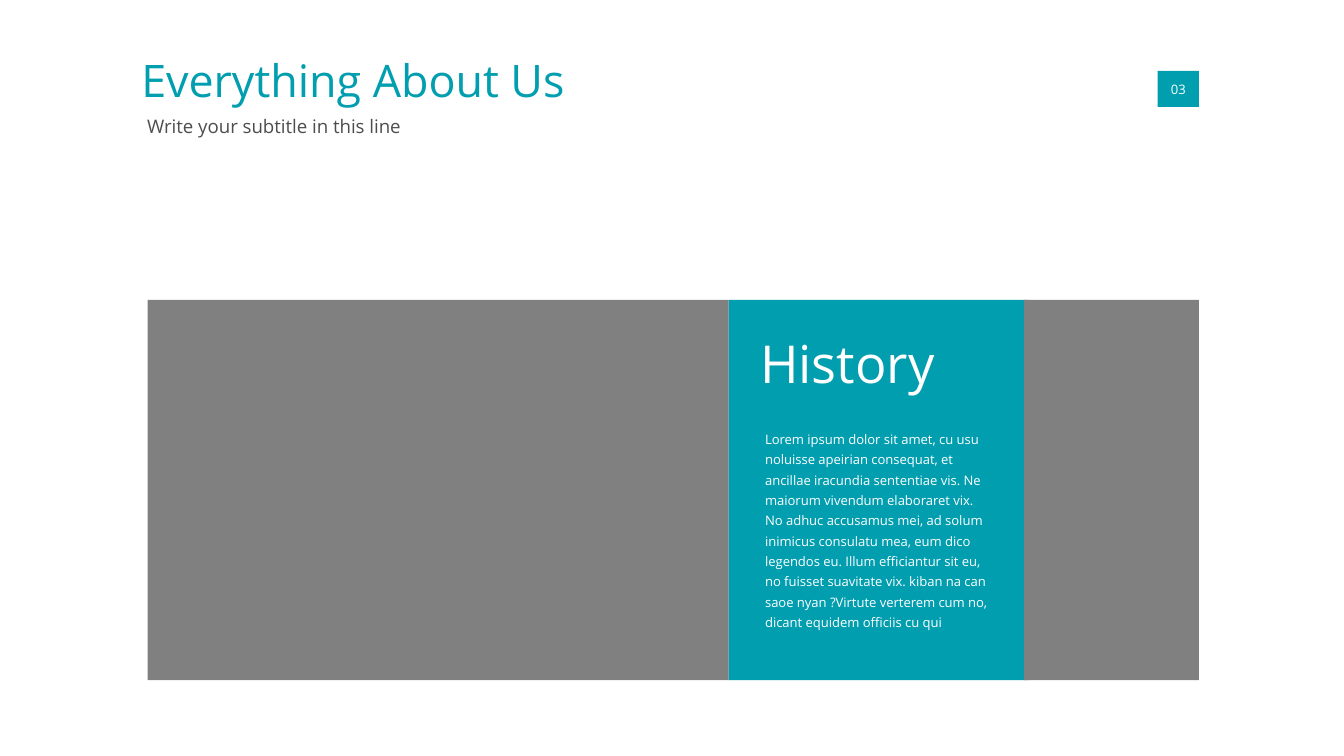
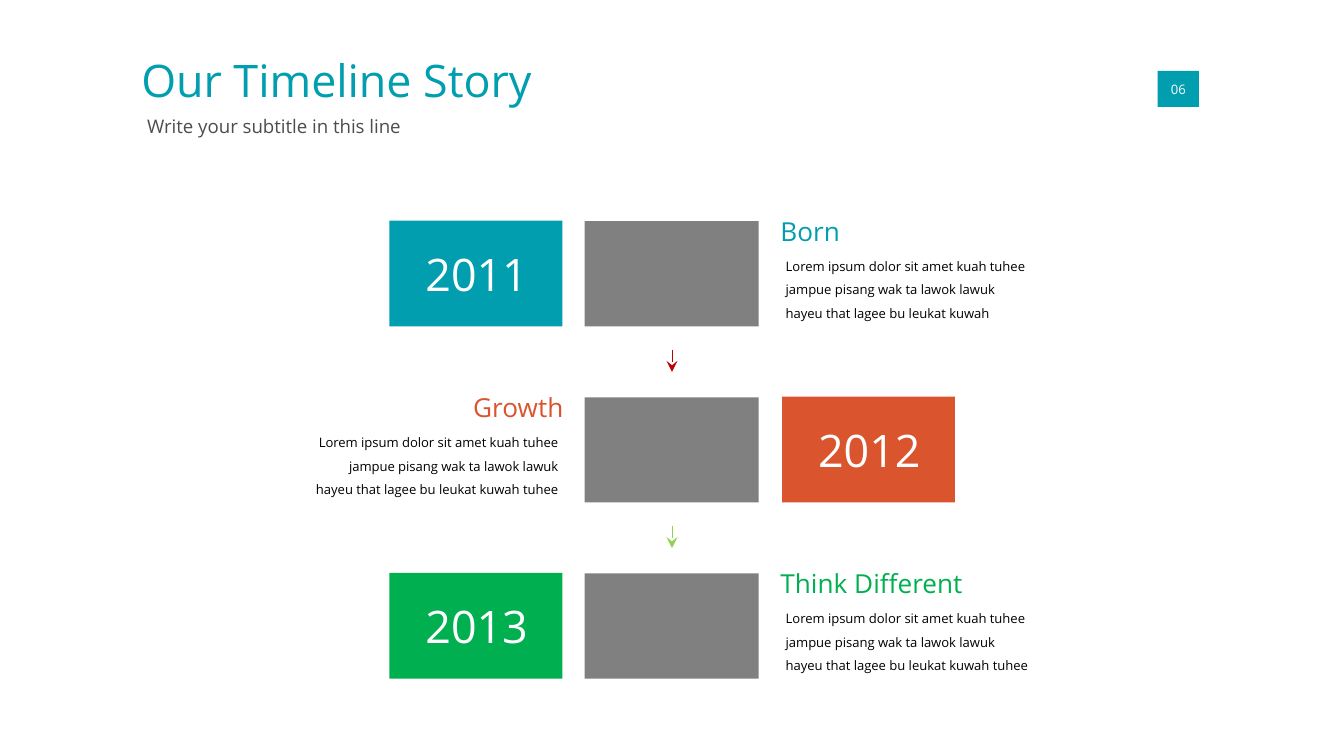
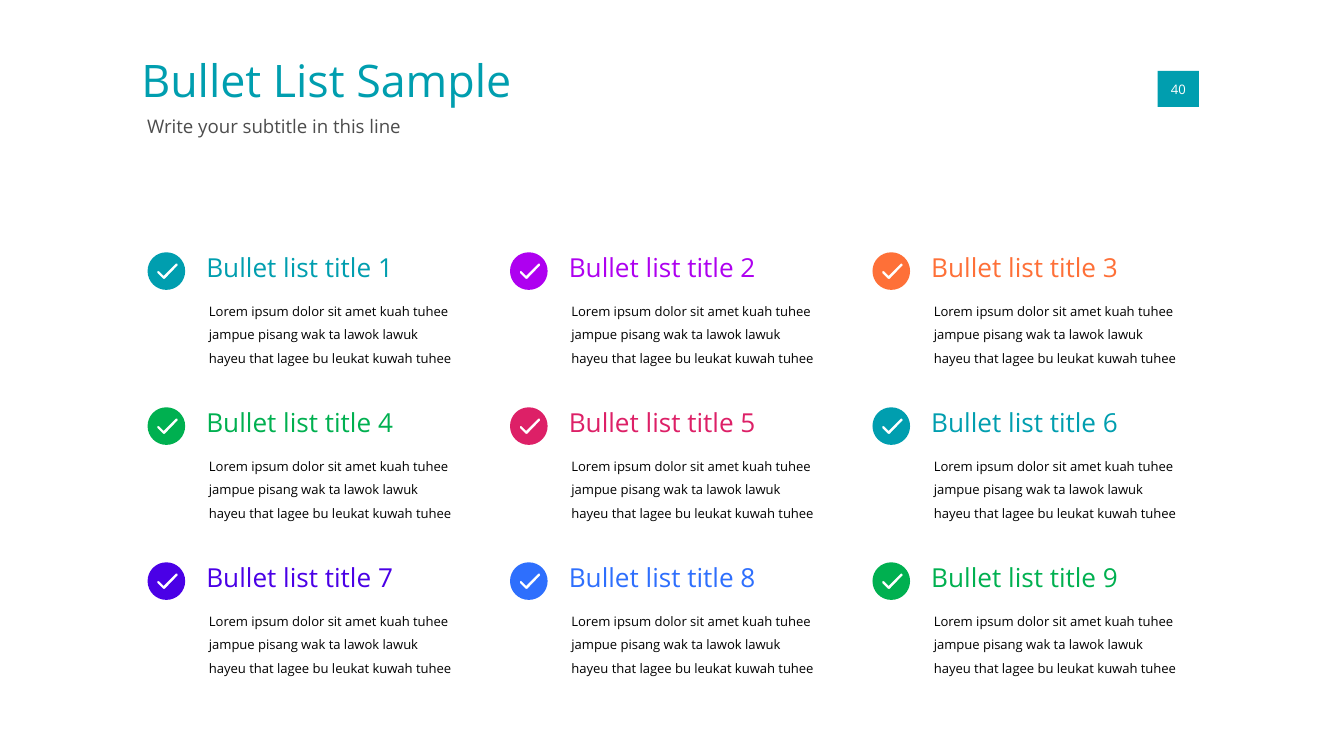
"""Build three company-profile slides: history, timeline and bullet list."""

from dataclasses import dataclass
from typing import Optional

import lxml.etree
import pptx
import pptx.dml.color
import pptx.enum.shapes
import pptx.enum.text
import pptx.oxml.ns
import pptx.presentation
import pptx.shapes.autoshape
import pptx.shapes.shapetree
import pptx.slide
import pptx.text.text
import pptx.util

Cm = pptx.util.Cm
RGBColor = pptx.dml.color.RGBColor
ALIGN = pptx.enum.text.PP_ALIGN
ANCHOR = pptx.enum.text.MSO_ANCHOR
Shapes = pptx.shapes.shapetree.SlideShapes | pptx.shapes.shapetree.GroupShapes

TEAL = RGBColor(0x00, 0x9E, 0xAF)
ORANGE = RGBColor(0xDA, 0x54, 0x2D)
CORAL = RGBColor(0xFE, 0x70, 0x38)
GREEN = RGBColor(0x00, 0xB0, 0x50)
PURPLE = RGBColor(0xAE, 0x00, 0xF0)
PINK = RGBColor(0xDD, 0x20, 0x67)
INDIGO = RGBColor(0x4A, 0x00, 0xE6)
BLUE = RGBColor(0x2E, 0x6F, 0xFD)
RED = RGBColor(0xC0, 0x00, 0x00)
LIME = RGBColor(0x92, 0xD0, 0x50)
GREY = RGBColor(0x80, 0x80, 0x80)
DARK_GREY = RGBColor(0x4D, 0x4D, 0x4D)
BLACK = RGBColor(0x00, 0x00, 0x00)
WHITE = RGBColor(0xFF, 0xFF, 0xFF)

FONT = "Open Sans"
SUBTITLE = "Write your subtitle in this line"
SHORT_LOREM = (
    "Lorem ipsum dolor sit amet kuah tuhee jampue pisang wak ta lawok lawuk "
    "hayeu that lagee bu leukat kuwah"
)
LOREM = SHORT_LOREM + " tuhee"
HISTORY = (
    "Lorem ipsum dolor sit amet, cu usu noluisse apeirian consequat, et "
    "ancillae iracundia sententiae vis. Ne maiorum vivendum elaboraret vix. "
    "No adhuc accusamus mei, ad solum inimicus consulatu mea, eum dico "
    "legendos eu. Illum efficiantur sit eu, no fuisset suavitate vix. kiban "
    "na can saoe nyan ?Virtute verterem cum no, dicant equidem officiis cu qui"
)

BADGE_RADIUS = 36
BADGE_UNIT = Cm(0.71) / (2 * BADGE_RADIUS)
CURVE = 0.55
TICK = [
    (58, 25), (33, 51), (30, 51), (19, 40), (19, 36),
    (22, 36), (31, 45), (54, 22), (57, 22),
]


@dataclass(frozen=True)
class Box:
    """Position and size in centimetres."""

    left: float
    top: float
    width: float
    height: float

    def emu(self) -> tuple[int, int, int, int]:
        """Return the four lengths for python-pptx."""
        return Cm(self.left), Cm(self.top), Cm(self.width), Cm(self.height)


@dataclass(frozen=True)
class Style:
    """Look of a block of text."""

    size: float
    color: RGBColor
    align: ALIGN = ALIGN.LEFT
    anchor: ANCHOR = ANCHOR.TOP
    spacing: float = 1.0
    inset: float = 0
    wrap: bool = True


@dataclass(frozen=True)
class Milestone:
    """One row of the timeline."""

    year: str
    heading: str
    body: str
    color: RGBColor
    year_on_left: bool
    arrow: Optional[RGBColor] = None


TITLE_STYLE = Style(24, TEAL)
SUBTITLE_STYLE = Style(10, DARK_GREY)
NUMBER_STYLE = Style(7, WHITE, ALIGN.CENTER, ANCHOR.MIDDLE, wrap=False)
YEAR_STYLE = Style(24, WHITE, ALIGN.CENTER, ANCHOR.MIDDLE)

MILESTONES = [
    Milestone("2011", "Born", SHORT_LOREM, TEAL, True, RED),
    Milestone("2012", "Growth", LOREM, ORANGE, False, LIME),
    Milestone("2013", "Think Different", LOREM, GREEN, True),
]
BULLET_ROWS = [(TEAL, PURPLE, CORAL), (GREEN, PINK, TEAL), (INDIGO, BLUE, GREEN)]


def heading_style(color: RGBColor, align: ALIGN = ALIGN.LEFT) -> Style:
    """Return the style of an item heading."""
    return Style(14, color, align)


def body_style(align: ALIGN = ALIGN.LEFT) -> Style:
    """Return the style of the text below an item heading."""
    return Style(7, BLACK, align, ANCHOR.BOTTOM, 1.5, 0.1)


def set_text(tf: pptx.text.text.TextFrame, text: str, style: Style) -> None:
    """Fill a text frame and format it."""
    tf.text = text
    tf.word_wrap = style.wrap
    tf.auto_size = pptx.enum.text.MSO_AUTO_SIZE.NONE
    tf.vertical_anchor = style.anchor
    tf.margin_left = tf.margin_right = Cm(style.inset)
    tf.margin_top = tf.margin_bottom = Cm(style.inset)
    p = tf.paragraphs[0]
    p.alignment = style.align
    p.line_spacing = style.spacing
    p.space_before = pptx.util.Pt(0)
    for r in p.runs:
        r.font.name = FONT
        r.font.size = pptx.util.Pt(style.size)
        r.font.color.rgb = style.color


def add_text(shapes: Shapes, box: Box, text: str, style: Style) -> None:
    """Add a text box."""
    set_text(shapes.add_textbox(*box.emu()).text_frame, text, style)


def paint(sp: pptx.shapes.autoshape.Shape, color: RGBColor) -> None:
    """Give a shape a flat fill without line or shadow."""
    sp.fill.solid()
    sp.fill.fore_color.rgb = color
    sp.line.fill.background()
    sp.shadow.inherit = False


def add_rect(shapes: Shapes, box: Box, color: RGBColor) -> None:
    """Add a flat rectangle."""
    kind = pptx.enum.shapes.MSO_SHAPE.RECTANGLE
    paint(shapes.add_shape(kind, *box.emu()), color)


def add_arrow(shapes: Shapes, x: float, top: float, length: float, color: RGBColor) -> None:
    """Add a thin arrow pointing down."""
    kind = pptx.enum.shapes.MSO_CONNECTOR.STRAIGHT
    sp = shapes.add_connector(kind, Cm(x), Cm(top), Cm(x), Cm(top + length))
    sp.line.color.rgb = color
    sp.line.width = pptx.util.Pt(0.25)
    qn = pptx.oxml.ns.qn
    ln = sp._element.spPr.find(qn("a:ln"))
    lxml.etree.SubElement(ln, qn("a:tailEnd"), type="stealth")
    lxml.etree.SubElement(sp._element.spPr, qn("a:effectLst"))


def add_check_badge(shapes: Shapes, left: float, top: float, color: RGBColor) -> None:
    """Add a disc with a tick cut out of it."""
    r = BADGE_RADIUS
    corners = [(r, 0), (2 * r, r), (r, 2 * r), (0, r), (r, 0)]
    fb = shapes.build_freeform(*corners[0], scale=BADGE_UNIT)
    fb.add_line_segments(corners[1:], close=True)
    fb.move_to(*TICK[0])
    fb.add_line_segments(TICK[1:], close=True)
    sp = fb.convert_to_shape(Cm(left), Cm(top))
    paint(sp, color)
    round_corners(sp, corners)


def round_corners(sp: pptx.shapes.autoshape.Shape, corners: list[tuple[int, int]]) -> None:
    """Bend the straight sides of the first outline into quarter circles."""
    qn = pptx.oxml.ns.qn
    sides = list(sp._element.iter(qn("a:lnTo")))
    for side, start, end in zip(sides, corners, corners[1:]):
        side.tag = qn("a:cubicBezTo")
        for i, (near, far) in enumerate([(start, end), (end, start)]):
            x, y = (round(n + CURVE * (f - BADGE_RADIUS)) for n, f in zip(near, far))
            pt = lxml.etree.Element(qn("a:pt"), x=str(x), y=str(y))
            side.insert(i, pt)


def new_slide(prs: pptx.presentation.Presentation, title: str, number: str) -> pptx.slide.Slide:
    """Add a slide with title, subtitle and page number."""
    slide = prs.slides.add_slide(prs.slide_layouts[0])
    headers = [
        (title, Box(2.67, 0.99, 12.09, 1.24), TITLE_STYLE),
        (SUBTITLE, Box(2.78, 2.17, 17.55, 0.58), SUBTITLE_STYLE),
    ]
    for sp, (text, box, style) in zip(slide.placeholders, headers):
        sp.left, sp.top, sp.width, sp.height = box.emu()
        set_text(sp.text_frame, text, style)
    add_rect(slide.shapes, Box(21.88, 1.34, 0.78, 0.68), TEAL)
    add_text(slide.shapes, Box(22.13, 1.54, 0.28, 0.3), number, NUMBER_STYLE)
    return slide


def build_history(prs: pptx.presentation.Presentation) -> None:
    """Build the history slide."""
    shapes = new_slide(prs, "Everything About Us", "03").shapes
    for left, width, color in [(13.77, 5.66, TEAL), (2.79, 10.98, GREY), (19.35, 3.31, GREY)]:
        add_rect(shapes, Box(left, 5.67, width, 7.19), color)
    add_text(shapes, Box(14.37, 6.27, 4.37, 1.45), "History", Style(28, WHITE))
    add_text(shapes, Box(14.46, 8.07, 4.27, 4.14), HISTORY, Style(7, WHITE, spacing=1.3))


def build_timeline(prs: pptx.presentation.Presentation) -> None:
    """Build the timeline slide."""
    slide = new_slide(prs, "Our Timeline Story", "06")
    for i, m in enumerate(MILESTONES):
        shapes = slide.shapes.add_group_shape().shapes
        top = 4.17 + 3.33 * i
        year_left, text_left, align = (
            (7.36, 14.75, ALIGN.LEFT) if m.year_on_left else (14.78, 5.77, ALIGN.RIGHT)
        )
        add_text(shapes, Box(text_left, top + 0.73, 4.88, 1.27), m.body, body_style(align))
        add_text(shapes, Box(text_left, top - 0.1, 4.88, 0.81), m.heading, heading_style(m.color, align))
        add_rect(shapes, Box(year_left, top, 3.27, 2), m.color)
        add_text(shapes, Box(year_left + 0.47, top + 0.44, 2.36, 1.12), m.year, YEAR_STYLE)
        if m.arrow is not None:
            add_arrow(shapes, 12.7, top + 2.44, 0.42, m.arrow)
        add_rect(shapes, Box(11.05, top + 0.01, 3.29, 1.99), GREY)


def build_bullets(prs: pptx.presentation.Presentation) -> None:
    """Build the three-by-three bullet list slide."""
    slide = new_slide(prs, "Bullet List Sample", "40")
    for row, colors in enumerate(BULLET_ROWS):
        heads = slide.shapes.add_group_shape().shapes
        bodies = slide.shapes.add_group_shape().shapes
        top = 4.77 + 2.93 * row
        for col, color in enumerate(colors):
            left = 2.79 + 6.85 * col
            title = f"Bullet list title {3 * row + col + 1}"
            add_check_badge(heads, left, top, color)
            add_text(heads, Box(left + 1.11, top - 0.01, 4.83, 0.76), title, heading_style(color))
            add_text(bodies, Box(left + 1.06, top + 0.84, 4.88, 1.41), LOREM, body_style())


def main() -> None:
    """Build and save the presentation."""
    prs = pptx.Presentation()
    prs.slide_width, prs.slide_height = Cm(25.4), Cm(14.29)
    build_history(prs)
    build_timeline(prs)
    build_bullets(prs)
    prs.save("out.pptx")


if __name__ == "__main__":
    main()
